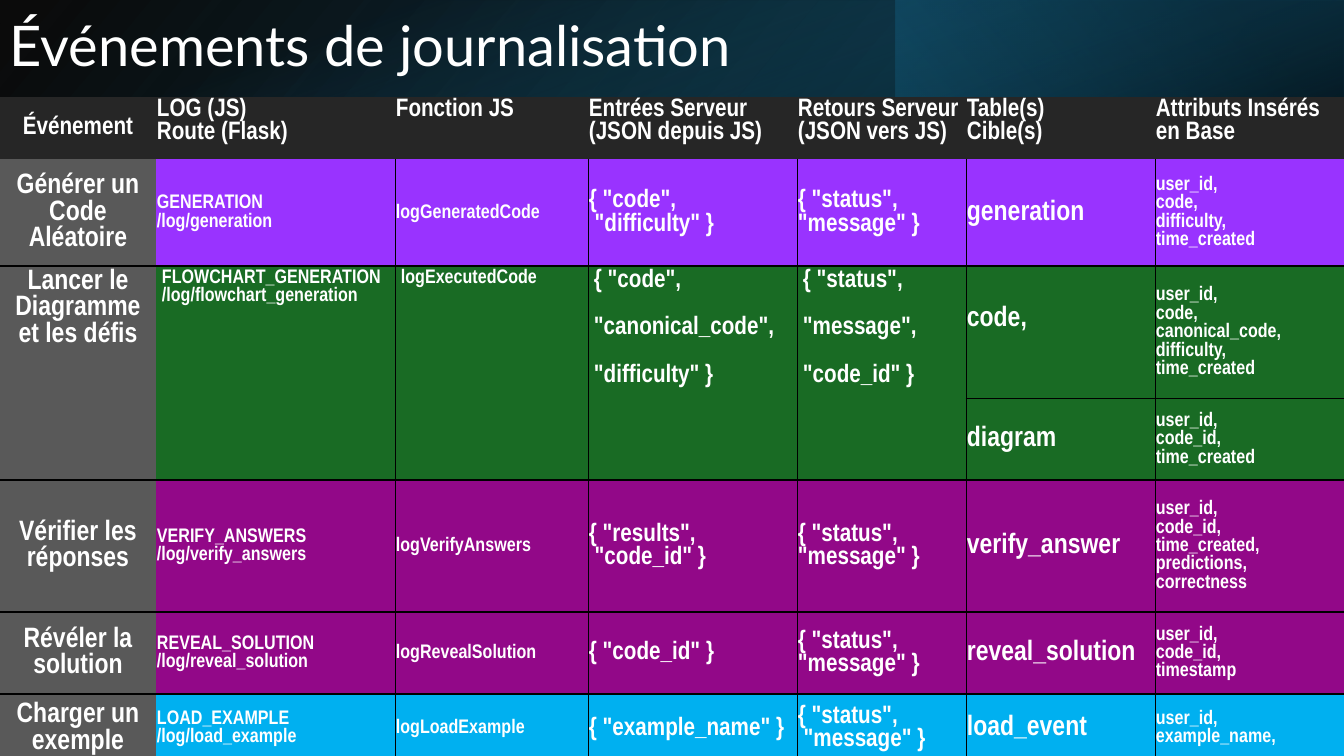
from lxml import etree
from pptx import Presentation
from pptx.dml.color import RGBColor
from pptx.enum.shapes import MSO_SHAPE as Shape
from pptx.enum.text import MSO_ANCHOR as Anchor, PP_ALIGN as Align
from pptx.oxml.ns import qn
from pptx.util import Pt

EMU_PER_PX = 914400 / 100.8
WIDTH, HEIGHT = 1344, 756
NO_STYLE = "{2D5ABB26-0587-4C30-8999-92F81FD0307C}"

COLUMN_WIDTHS = [156, 239, 193, 209, 169, 189, 189]
ROW_HEIGHTS = [62, 107, 132, 82, 132, 82, 62]
COLUMN_SIZES = [20, 14, 14, 18, 18, 20, 14]
HEADER_SIZE = 18
LAUNCH_ROW, DIAGRAM_ROW = 2, 3  # one event that fills two tables
TARGET_COLUMN = 5
BLANK_LINE = 17  # points

HEADER_FILL, EVENT_FILL = "262626", "595959"
ROW_FILLS = [HEADER_FILL, "9933FF", "196B24", "196B24", "920888", "920888", "00B0F0"]

# A list holds spaced paragraphs; None is a cell covered by a merge
EVENTS = [
    ["Événement", "LOG (JS)\nRoute (Flask)", "Fonction JS",
     "Entrées Serveur\n(JSON depuis JS)", "Retours Serveur\n(JSON vers JS)",
     "Table(s)\nCible(s)", "Attributs Insérés en Base"],
    ["Générer un Code Aléatoire", "GENERATION\n/log/generation", "logGeneratedCode",
     '{ "code",\n "difficulty" }', '{ "status",\n"message" }', "generation",
     "user_id,\ncode,\ndifficulty,\ntime_created"],
    ["Lancer le Diagramme\net les défis",
     "FLOWCHART_GENERATION\n/log/flowchart_generation", "logExecutedCode",
     ['{ "code",', '"canonical_code",', '"difficulty" }'],
     ['{ "status",', '"message",', '"code_id" }'], "code,",
     "user_id,\ncode,\ncanonical_code,\ndifficulty,\ntime_created"],
    [None] * TARGET_COLUMN + ["diagram", "user_id,\ncode_id,\ntime_created"],
    ["Vérifier les réponses", "VERIFY_ANSWERS\n/log/verify_answers", "logVerifyAnswers",
     '{ "results",\n "code_id" }', '{ "status",\n"message" }', "verify_answer",
     "user_id,\ncode_id,\ntime_created,\npredictions,\ncorrectness"],
    ["Révéler la solution", "REVEAL_SOLUTION\n/log/reveal_solution", "logRevealSolution",
     '{ "code_id" }', '{ "status",\n"message" }', "reveal_solution",
     "user_id,\ncode_id,\ntimestamp"],
    ["Charger un exemple", "LOAD_EXAMPLE\n/log/load_example", "logLoadExample",
     '{ "example_name" }', '{ "status",\n "message" }', "load_event",
     "user_id,\nexample_name,"],
]


def px(length):
    return round(length * EMU_PER_PX)


def color(hex_code):
    return RGBColor.from_string(hex_code)


def child(parent, tag, **attributes):
    return etree.SubElement(parent, qn(tag), {k: str(v) for k, v in attributes.items()})


class SlideBuilder:
    text_color = "FFFFFF"
    border_color = "000000"
    title_font = "Lato"
    table_font = "Arial Narrow"

    def __init__(self, slide):
        self.slide = slide

    def style(self, paragraph, font, size, bold=False):
        paragraph.font.name = font
        paragraph.font.size = Pt(size)
        paragraph.font.bold = bold
        paragraph.font.color.rgb = color(self.text_color)

    def gradient(self, box, stops, angle, rotation=0, flip=False):
        """Stops are (position %, colour, opacity %)."""
        panel = self.slide.shapes.add_shape(Shape.RECTANGLE, *map(px, box))
        panel.shadow.inherit = False
        panel.line.fill.background()
        panel.rotation = rotation
        properties = panel._element.spPr
        if flip:
            properties.find(qn("a:xfrm")).set("flipH", "1")
        fill = etree.Element(qn("a:gradFill"), rotWithShape="1")
        stop_list = child(fill, "a:gsLst")
        for position, hex_code, opacity in stops:
            stop = child(stop_list, "a:gs", pos=position * 1000)
            tint = child(stop, "a:srgbClr", val=hex_code)
            child(tint, "a:alpha", val=opacity * 1000)
        child(fill, "a:lin", ang=angle * 60000, scaled=0)
        properties.find(qn("a:prstGeom")).addnext(fill)

    def title(self, text, box):
        frame = self.slide.shapes.add_textbox(*map(px, box)).text_frame
        frame.word_wrap = True
        frame.vertical_anchor = Anchor.MIDDLE
        heading = frame.paragraphs[0]
        heading.text = text
        heading.line_spacing = 0.9
        self.style(heading, self.title_font, 40)

    def borders(self, cell, **widths):
        properties = cell._tc.get_or_add_tcPr()
        for side in "LRTB":
            if widths.get(side):
                line = child(properties, f"a:ln{side}", w=Pt(widths[side]))
                child(child(line, "a:solidFill"), "a:srgbClr", val=self.border_color)

    def cell_text(self, cell, content, size, align):
        parts = content if isinstance(content, list) else [content]
        frame = cell.text_frame
        for index, part in enumerate(parts):
            paragraph = frame.add_paragraph() if index else frame.paragraphs[0]
            paragraph.text = part
            paragraph.alignment = align
            if index:
                paragraph.space_before = Pt(BLANK_LINE)
            self.style(paragraph, self.table_font, size, bold=True)

    def inset(self, cell, left, top, right, bottom):
        cell.margin_left, cell.margin_top = px(left), px(top)
        cell.margin_right, cell.margin_bottom = px(right), px(bottom)

    def table(self, left, top):
        table = self.slide.shapes.add_table(
            len(EVENTS), len(COLUMN_WIDTHS), px(left), px(top),
            px(sum(COLUMN_WIDTHS)), px(sum(ROW_HEIGHTS))).table
        table.first_row = table.horz_banding = False
        table._tbl.tblPr.find(qn("a:tableStyleId")).text = NO_STYLE
        for column, width in zip(table.columns, COLUMN_WIDTHS):
            column.width = px(width)
        for row, height in zip(table.rows, ROW_HEIGHTS):
            row.height = px(height)
        for column in range(TARGET_COLUMN):
            table.cell(LAUNCH_ROW, column).merge(table.cell(DIAGRAM_ROW, column))
        for row, event in enumerate(EVENTS):
            for column, content in enumerate(event):
                self.event_cell(table.cell(row, column), row, column, content)
        return table

    def event_cell(self, cell, row, column, content):
        header, target = row == 0, column >= TARGET_COLUMN
        # Rules between rows, thin inside the two-table event
        if not header:
            self.borders(
                cell,
                L=0.5 if 2 <= column <= TARGET_COLUMN else 0,
                R=0.5 if 1 <= column < TARGET_COLUMN else 0,
                T=0 if row == 1 else 0.5 if target and row == DIAGRAM_ROW else 1,
                B=0.5 if target and row == LAUNCH_ROW else 1)
        cell.fill.solid()
        cell.fill.fore_color.rgb = color(
            EVENT_FILL if column == 0 and not header else ROW_FILLS[row])
        if content is None:
            return
        merged = cell.is_merge_origin
        at_top = merged or (header and column > 0)
        cell.vertical_anchor = Anchor.TOP if at_top else Anchor.MIDDLE
        self.inset(cell, *((6, 3, 6, 3) if merged else (1, 1, 1, 0)))
        self.cell_text(cell, content, HEADER_SIZE if header else COLUMN_SIZES[column],
                       Align.LEFT if column else Align.CENTER)


def main():
    deck = Presentation()
    deck.slide_width, deck.slide_height = px(WIDTH), px(HEIGHT)
    builder = SlideBuilder(deck.slides.add_slide(deck.slide_layouts[6]))

    # Banner
    builder.gradient((0, 0, WIDTH, 173), [(0, "000000", 96), (100, "104862", 100)],
                     140, flip=True)
    builder.gradient((896, 0, 448, 173), [(19, "0B3041", 68), (100, "156082", 79)],
                     320, rotation=180)
    builder.gradient((585, -585, 173, WIDTH), [(23, "156082", 0), (99, "000000", 74)],
                     340, rotation=90)
    builder.title("Événements de journalisation", (0, 0, 1107, 97))

    # Logging events
    events = builder.table(0, 97)
    # The first target table sits above the middle of its cell
    builder.inset(events.cell(LAUNCH_ROW, TARGET_COLUMN), 1, 1, 1, 27)

    deck.save("out.pptx")


if __name__ == "__main__":
    main()
